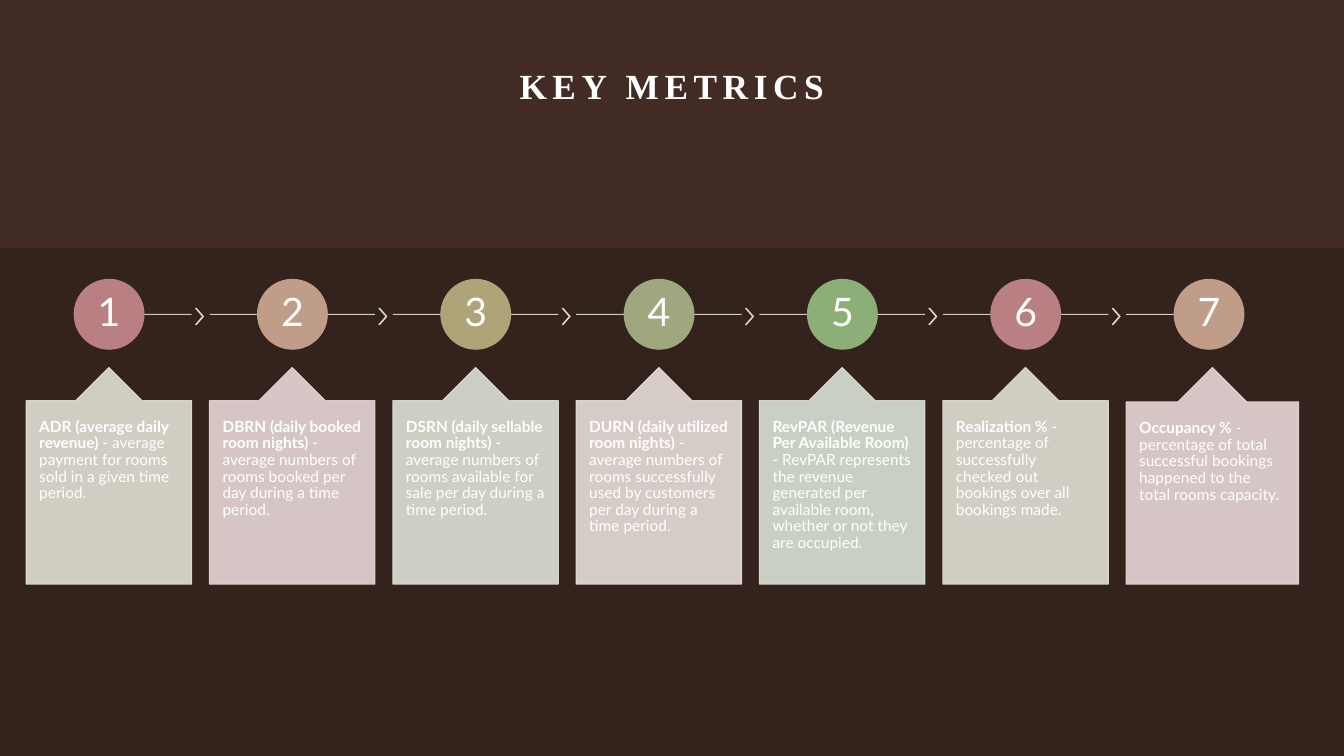
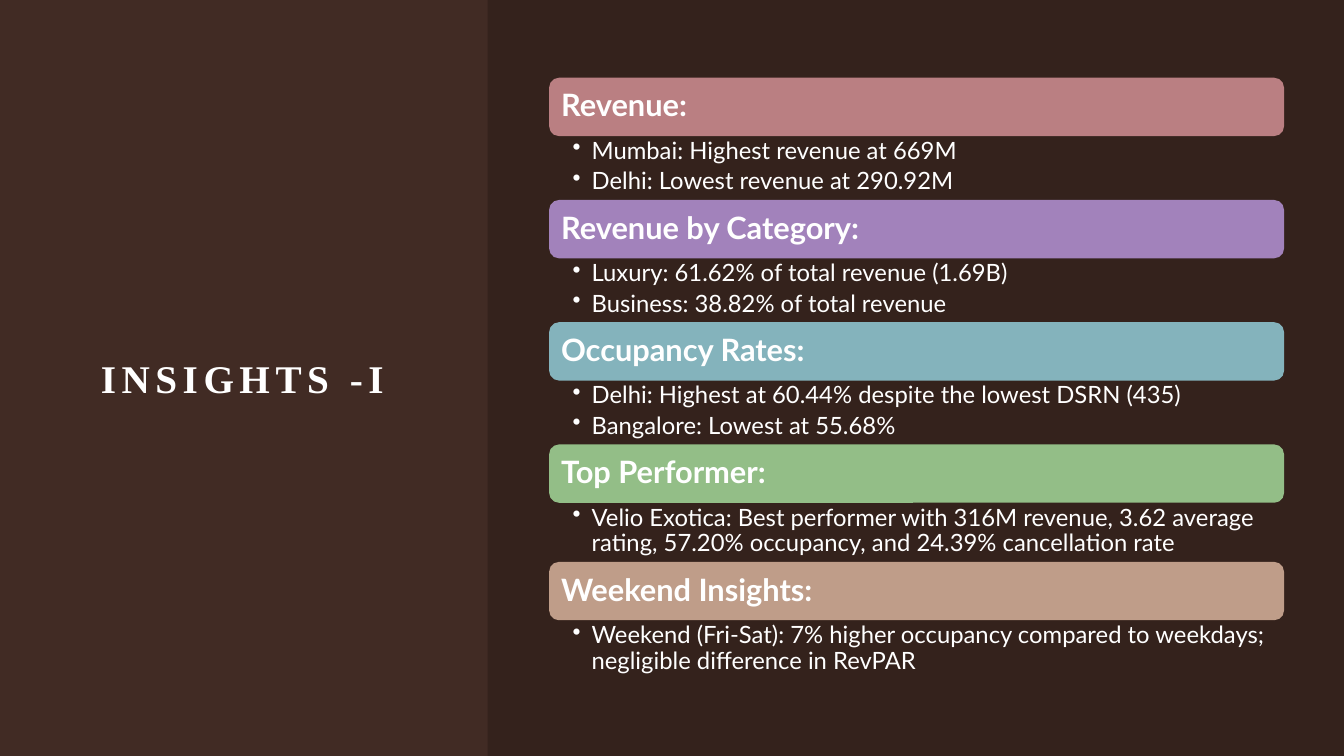
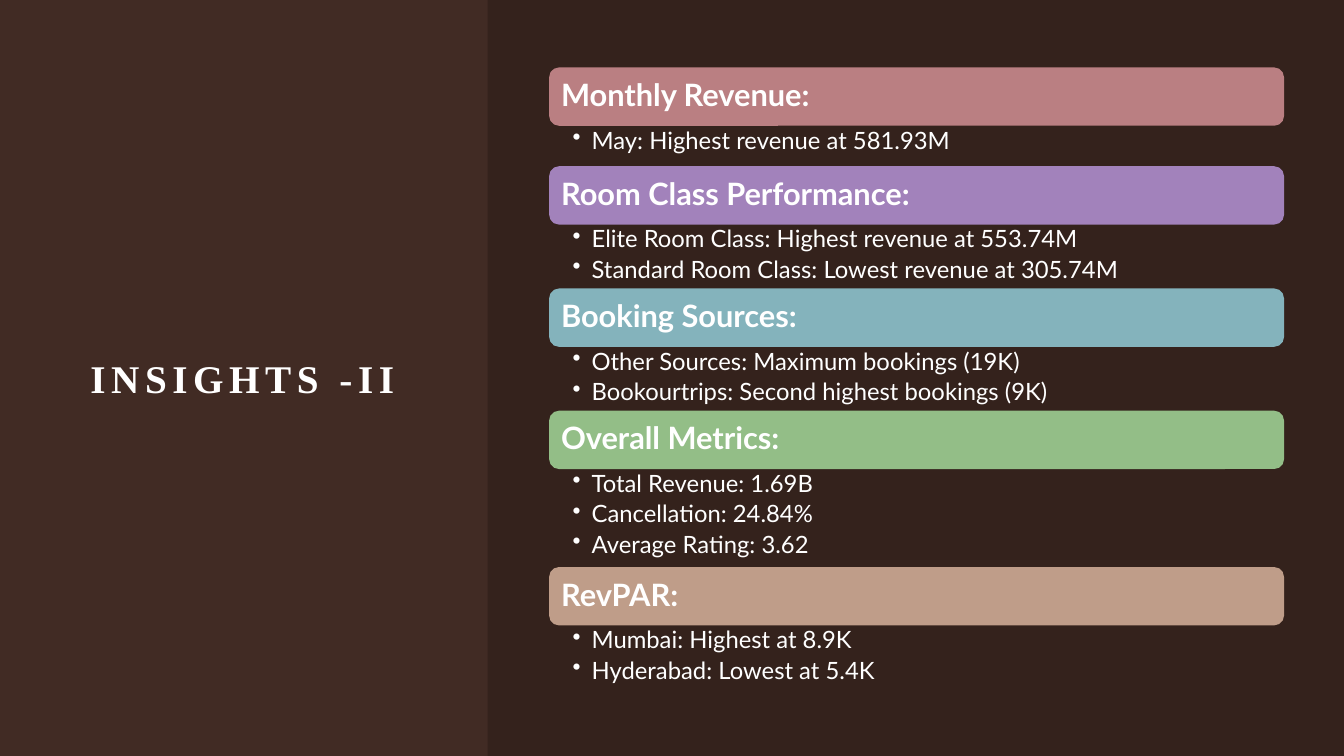
from pptx import Presentation, util as u
from pptx.dml.color import RGBColor
from pptx.enum import shapes, text
from pptx.oxml.ns import qn
from lxml import etree

COLOURS = {
    "background": "412B24", "shade": "000000", "white": "FFFFFF",
    "rose": "BA7F82", "tan": "BF9D89", "khaki": "AFA378", "olive": "9FA77F",
    "leaf": "8CAE77", "violet": "A282BB", "teal": "84B3BC", "green": "93BE87",
    "pale sand": "E3E0D6", "pale rose": "E7D8D8", "pale olive": "DFE1D8",
    "pale tan": "E8DFDA", "pale green": "DAE3D6",
}
CIRCLES = ["rose", "tan", "khaki", "olive", "leaf"]
PALES = ["pale sand", "pale rose", "pale olive", "pale tan", "pale green"]
HEADINGS = ["rose", "violet", "teal", "green", "tan"]
TITLE_FONT, BODY_FONT = "Times New Roman", "Lato"
SLIDE_WIDTH, SLIDE_HEIGHT = 33.87, 19.05

METRICS = [
    ("ADR (average daily revenue)",
     " - average payment for rooms sold in a given time period."),
    ("DBRN (daily booked room nights)",
     " - average numbers of rooms booked per day during a time period."),
    ("DSRN (daily sellable room nights)",
     " - average numbers of rooms available for sale per day during a time period."),
    ("DURN (daily utilized room nights)",
     " - average numbers of rooms successfully used by customers per day during a time period."),
    ("RevPAR (Revenue Per Available Room)",
     " - RevPAR represents the revenue generated per available room, whether or not they are occupied."),
    ("Realization %",
     " - percentage of successfully checked out bookings over all bookings made."),
    ("Occupancy %",
     " - percentage of total successful bookings happened to the total rooms capacity."),
]
INSIGHTS_ONE = [
    ("Revenue:", 1.61,
     ["Mumbai: Highest revenue at 669M", "Delhi: Lowest revenue at 290.92M"]),
    ("Revenue by Category:", 1.61,
     ["Luxury: 61.62% of total revenue (1.69B)", "Business: 38.82% of total revenue"]),
    ("Occupancy Rates:", 1.61,
     ["Delhi: Highest at 60.44% despite the lowest DSRN (435)", "Bangalore: Lowest at 55.68%"]),
    ("Top Performer:", 1.49,
     ["Velio Exotica: Best performer with 316M revenue, 3.62 average rating, "
      "57.20% occupancy, and 24.39% cancellation rate"]),
    ("Weekend Insights:", 1.49,
     ["Weekend (Fri-Sat): 7% higher occupancy compared to weekdays; "
      "negligible difference in RevPAR"]),
]
INSIGHTS_TWO = [
    ("Monthly Revenue:", 1.02, ["May: Highest revenue at 581.93M"]),
    ("Room Class Performance:", 1.61,
     ["Elite Room Class: Highest revenue at 553.74M",
      "Standard Room Class: Lowest revenue at 305.74M"]),
    ("Booking Sources:", 1.61,
     ["Other Sources: Maximum bookings (19K)", "Bookourtrips: Second highest bookings (9K)"]),
    ("Overall Metrics:", 2.47,
     ["Total Revenue: 1.69B", "Cancellation: 24.84%", "Average Rating: 3.62"]),
    ("RevPAR:", 1.61, ["Mumbai: Highest at 8.9K", "Hyderabad: Lowest at 5.4K"]),
]


def rgb(name):
    """Return the named colour."""
    return RGBColor.from_string(COLOURS[name])


def set_alpha(shape, percent):
    """Make the fill and line of a shape partly transparent."""
    for colour in list(shape._element.spPr.iter(qn("a:srgbClr"))):
        etree.SubElement(colour, qn("a:alpha")).set("val", str(percent * 1000))


def add_box(slide, kind, box, colour, outlined=True, alpha=100):
    """Add a filled preset shape at box (left, top, width, height)."""
    shape = slide.shapes.add_shape(kind, *map(u.Cm, box))
    shape.shadow.inherit = False
    shape.fill.solid()
    shape.fill.fore_color.rgb = rgb(colour)
    if outlined:
        shape.line.color.rgb = rgb(colour)
        shape.line.width = u.Pt(0.75)
    else:
        shape.line.fill.background()
    if alpha < 100:
        set_alpha(shape, alpha)
    return shape


def set_frame(shape, anchor, left, top, right, bottom):
    """Set wrapping, anchor and margins, and return the text frame."""
    frame = shape.text_frame
    frame.word_wrap = True
    frame.vertical_anchor = anchor
    frame.margin_left, frame.margin_top = u.Cm(left), u.Cm(top)
    frame.margin_right, frame.margin_bottom = u.Cm(right), u.Cm(bottom)
    return frame


def style_paragraph(paragraph, size, align=text.PP_ALIGN.LEFT, bold=None, name=BODY_FONT, spacing=0.9):
    """Set the font, alignment and line spacing of a paragraph."""
    paragraph.alignment = align
    paragraph.line_spacing = spacing
    font = paragraph.font
    font.name, font.size, font.bold = name, u.Pt(size), bold
    font.color.rgb = rgb("white")


def add_title(slide, title, box, size):
    """Add the centred, letter-spaced title."""
    shape = slide.shapes.add_textbox(*map(u.Cm, box))
    paragraph = set_frame(shape, text.MSO_ANCHOR.MIDDLE, 0, 0, 0, 0).paragraphs[0]
    paragraph.text = title
    style_paragraph(paragraph, size, text.PP_ALIGN.CENTER, True, TITLE_FONT, 1.0)
    paragraph._p.get_or_add_pPr().get_or_add_defRPr().set("spc", "400")


def add_slide(presentation, title, title_box, title_size, panel):
    """Add a blank slide with its background, shaded panel and title."""
    slide = presentation.slides.add_slide(presentation.slide_layouts[6])
    slide.background.fill.solid()
    slide.background.fill.fore_color.rgb = rgb("background")
    add_box(slide, shapes.MSO_SHAPE.RECTANGLE, panel, "shade", False, 20)
    add_title(slide, title, title_box, title_size)
    return slide


def add_rule(slide, start, end, top, colour):
    """Add a thin horizontal line."""
    rule = slide.shapes.add_connector(
        shapes.MSO_CONNECTOR.STRAIGHT, u.Cm(start), u.Cm(top), u.Cm(end), u.Cm(top))
    rule.line.color.rgb = rgb(colour)
    rule.line.width = u.Pt(0.75)
    set_alpha(rule, 90)
    etree.SubElement(rule._element.spPr, qn("a:effectLst"))


def add_card(slide, box, lead, detail, colour):
    """Add a callout with a bold term and its definition."""
    card = add_box(slide, shapes.MSO_SHAPE.UP_ARROW_CALLOUT, box, colour, alpha=90)
    for index, value in enumerate([0.5, 0.2, 0.2, 1]):
        card.adjustments[index] = value
    paragraph = set_frame(card, text.MSO_ANCHOR.TOP, 0.33, 0.46, 0.33, 0.46).paragraphs[0]
    style_paragraph(paragraph, 11)
    for words, bold in ((lead, True), (detail, False)):
        run = paragraph.add_run()
        run.text, run.font.bold = words, bold


def add_step(slide, box, index, count, metric):
    """Add one numbered step: line, chevron, circle and card."""
    left, top, width, height = box
    first, last = index == 0, index == count - 1
    middle = left + width / 2
    pale = [PALES[(index + shift) % len(PALES)] for shift in (0, 1, 3)]
    add_rule(slide, middle if first else left, middle if last else left + width, top + 0.88, pale[1])
    if not last:
        chevron = add_box(slide, shapes.MSO_SHAPE.CHEVRON,
                          (left + 4.27, top + 0.73, 0.2, 0.41), pale[2], alpha=90)
        chevron.adjustments[0] = 0.9
    circle = add_box(slide, shapes.MSO_SHAPE.OVAL, (left + 1.21, top, 1.76, 1.76),
                     CIRCLES[index % len(CIRCLES)])
    paragraph = set_frame(circle, text.MSO_ANCHOR.MIDDLE, 0.07, 0.07, 0.07, 0.07).paragraphs[0]
    paragraph.text = str(index + 1)
    style_paragraph(paragraph, 28, text.PP_ALIGN.CENTER)
    card_width = width + 0.18 if last else width
    add_card(slide, (left, top + 2.22, card_width, height - 2.22), *metric, pale[0])


def add_bullets(slide, box, lines):
    """Add a bulleted list."""
    shape = slide.shapes.add_textbox(*map(u.Cm, box))
    frame = set_frame(shape, text.MSO_ANCHOR.TOP, 0.59, 0.07, 0.42, 0.07)
    for index, line in enumerate(lines):
        paragraph = frame.add_paragraph() if index else frame.paragraphs[0]
        paragraph.text = line
        style_paragraph(paragraph, 17)
        paragraph.space_after = u.Pt(3.4)
        paragraph.level = 1
        properties = paragraph._p.get_or_add_pPr()
        properties.set("marL", str(u.Cm(0.48)))
        properties.set("indent", str(-u.Cm(0.48)))
        bullet = etree.Element(qn("a:buChar"), char="•")
        properties.get_or_add_defRPr().addprevious(bullet)


def add_section(slide, box, heading, lines, colour):
    """Add a coloured heading bar with its bullets below."""
    left, top, width, height = box
    bar_height = 1.47
    bar = add_box(slide, shapes.MSO_SHAPE.ROUNDED_RECTANGLE,
                  (left, top, width, bar_height), colour, False)
    paragraph = set_frame(bar, text.MSO_ANCHOR.MIDDLE, 0.23, 0.23, 0.23, 0.23).paragraphs[0]
    paragraph.text = heading
    style_paragraph(paragraph, 22, bold=True)
    add_bullets(slide, (left, top + bar_height, width, height - bar_height), lines)


def build_metrics(presentation):
    """Build the slide with the row of numbered metrics."""
    slide = add_slide(presentation, "KEY METRICS", (3, 1.02, 27.86, 2.26), 25.2,
                      (0, 6.25, SLIDE_WIDTH, SLIDE_HEIGHT - 6.25))
    for index, metric in enumerate(METRICS):
        add_step(slide, (0.66 + 4.62 * index, 7.04, 4.17, 7.68), index, len(METRICS), metric)


def build_insights(presentation, title, top, sections):
    """Build a slide with a side title and a stack of sections."""
    slide = add_slide(presentation, title, (1.5, 3, 9.22, 13.03), 28,
                      (12.29, 0, SLIDE_WIDTH - 12.29, SLIDE_HEIGHT))
    for (heading, list_height, lines), colour in zip(sections, HEADINGS):
        height = 1.47 + list_height
        add_section(slide, (13.84, top, 18.52, height), heading, lines, colour)
        top += height


def main():
    """Build and save the presentation."""
    presentation = Presentation()
    presentation.slide_width = u.Cm(SLIDE_WIDTH)
    presentation.slide_height = u.Cm(SLIDE_HEIGHT)
    build_metrics(presentation)
    build_insights(presentation, "INSIGHTS -I", 1.96, INSIGHTS_ONE)
    build_insights(presentation, "INSIGHTS -II", 1.7, INSIGHTS_TWO)
    presentation.save("out.pptx")


if __name__ == "__main__":
    main()
